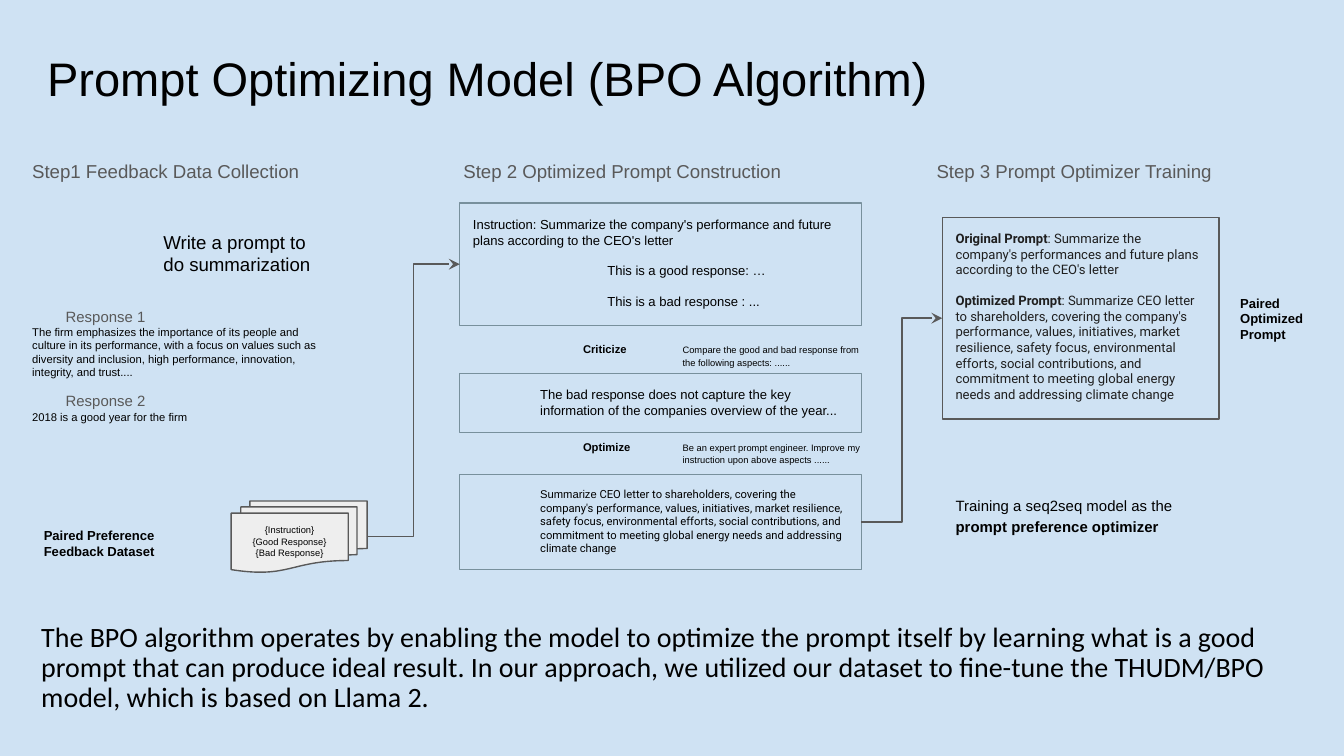
from lxml import etree
from pptx import Presentation, util as u
from pptx.dml.color import RGBColor
from pptx.enum import shapes, text
from pptx.oxml.ns import qn

COLORS = {"sky": "CFE2F3", "black": "000000", "grey": "595959",
          "ink": "1F1F1F", "steel": "78909C", "paper": "EEEEEE"}
INSET = 0.25
INDENT = 1.27

# A paragraph is (runs, paragraph options); a run is (text, font options).
TITLE = [([("Prompt Optimizing Model (BPO Algorithm)", {})], {})]
SUMMARY = [([("The BPO algorithm operates by enabling the model to optimize the prompt itself by "
              "learning what is a good prompt that can produce ideal result. In our approach, we "
              "utilized our dataset to fine-tune the THUDM/BPO model, which is based on Llama 2.",
              {})], {"line": 0.9})]

# heading, left, width
STEPS = [("Step1 Feedback Data Collection", 0.36, 7.19),
         ("Step 2 Optimized Prompt Construction", 8.51, 8.05),
         ("Step 3 Prompt Optimizer Training", 17.45, 7.59)]
STEP_TOP, STEP_HEIGHT = 2.77, 8.23

HEADING = {"size": 8, "color": "grey"}
RESPONSES = [
    ([("Response 1", HEADING)], {"indent": 0.63}),
    ([("The firm emphasizes the importance of its people and culture in its performance, with a "
       "focus on values such as diversity and inclusion, high performance, innovation, "
       "integrity, and trust....", {})], {}),
    ([("Response 2", HEADING)], {"indent": 0.63, "before": 7}),
    ([("2018 is a good year for the firm", {})], {}),
]
DATASET = [([(line, {})], {"align": text.PP_ALIGN.CENTER})
           for line in ("{Instruction}", "{Good Response}", "{Bad Response}")]

INSTRUCTION = [
    ([("Instruction: Summarize the company's performance and future plans according to the "
       "CEO's letter", {})], {}),
    ([("This is a good response: …", {})], {"indent": 2 * INDENT, "before": 8}),
    ([("This is a bad response : ...", {})], {"indent": 2 * INDENT, "before": 8}),
]
CRITIQUE = [([("The bad response does not capture the key information of the companies overview "
               "of the year...", {})], {"indent": INDENT})]
NEW_PROMPT = [([
    ("Summarize", {}),
    (" CEO letter to shareholders, covering the company's performance, values, initiatives, "
     "market resilience, safety focus, environmental efforts, social contributions, and "
     "commitment to meeting global energy needs and addressing climate change",
     {"font": "Roboto"})], {"indent": INDENT})]

# action, its prompt, top of both labels
ACTIONS = [
    ("Criticize", "Compare the good and bad response from the following aspects: ......", 6.23),
    ("Optimize", "Be an expert prompt engineer. Improve my instruction upon above aspects ......",
     8.07),
]

PROMPT_PAIR = [
    ([("Original Prompt", {"bold": True}),
      (": Summarize the company's performances and future plans according to the CEO's letter",
       {})], {}),
    ([("Optimized Prompt", {"bold": True}),
      (": Summarize CEO letter to shareholders, covering the company's performance, values, "
       "initiatives, market resilience, safety focus, environmental efforts, social "
       "contributions, and commitment to meeting global energy needs and addressing climate "
       "change", {})], {"before": 8}),
]
TRAINING = [([("Training a seq2seq model as the ", {}),
              ("prompt preference optimizer", {"bold": True})], {"line": 1.15})]


def rgb(name):
    return RGBColor.from_string(COLORS[name])


def plain(*lines, **options):
    return [([(line, {})], options) for line in lines]


def write(shape, paragraphs, anchor=text.MSO_ANCHOR.TOP, **base):
    """Fill a shape with paragraphs; base holds the font options runs fall back on."""
    frame = shape.text_frame
    frame.word_wrap = True
    frame.auto_size = text.MSO_AUTO_SIZE.NONE
    frame.vertical_anchor = anchor
    frame.margin_left = frame.margin_right = u.Cm(INSET)
    frame.margin_top = frame.margin_bottom = u.Cm(INSET)
    for number, (runs, options) in enumerate(paragraphs):
        paragraph = frame.add_paragraph() if number else frame.paragraphs[0]
        paragraph.alignment = options.get("align", text.PP_ALIGN.LEFT)
        paragraph.line_spacing = options.get("line", 1.0)
        paragraph.space_before = u.Pt(options.get("before", 0))
        if "indent" in options:
            properties = paragraph._p.get_or_add_pPr()
            properties.set("marL", str(u.Cm(options["indent"])))
            properties.set("indent", "0")
        for words, changes in runs:
            style = {"font": "Arial", "color": "black", "bold": False, **base, **changes}
            run = paragraph.add_run()
            run.text = words
            run.font.name = style["font"]
            run.font.size = u.Pt(style["size"])
            run.font.bold = style["bold"]
            run.font.color.rgb = rgb(style["color"])


def place(shape, box):
    shape.left, shape.top, shape.width, shape.height = (u.Cm(length) for length in box)


def add_label(box, paragraphs, **base):
    label = slide.shapes.add_textbox(*(u.Cm(length) for length in box))
    write(label, paragraphs, **base)


def add_box(box, paragraphs, fill=None, line=None, preset=shapes.MSO_SHAPE.RECTANGLE, **base):
    shape = slide.shapes.add_shape(preset, *(u.Cm(length) for length in box))
    shape.shadow.inherit = False
    if fill:
        shape.fill.solid()
        shape.fill.fore_color.rgb = rgb(fill)
    else:
        shape.fill.background()
    if line:
        shape.line.color.rgb = rgb(line)
        shape.line.width = u.Pt(0.75)
    else:
        shape.line.fill.background()
    write(shape, paragraphs, **base)
    return shape


def add_arrow(source, target):
    """Lead an elbow arrow from the right side of source to the left side of target."""
    arrow = slide.shapes.add_connector(shapes.MSO_CONNECTOR.ELBOW, 0, 0, 0, 0)
    arrow.begin_connect(source, 3)
    arrow.end_connect(target, 1)
    arrow.line.color.rgb = rgb("grey")
    arrow.line.width = u.Pt(0.75)
    etree.SubElement(arrow.line._get_or_add_ln(), qn("a:tailEnd"), type="stealth")
    etree.SubElement(arrow._element.spPr, qn("a:effectLst"))


deck = Presentation()
deck.slide_width, deck.slide_height = u.Cm(25.4), u.Cm(14.29)
slide = deck.slides.add_slide(deck.slide_layouts[5])
slide.background.fill.solid()
slide.background.fill.fore_color.rgb = rgb("sky")

place(slide.shapes.title, (0.64, 0.69, 23.67, 1.6))
write(slide.shapes.title, TITLE, size=25.2)
add_label((0.53, 11.53, 23.67, 2.31), SUMMARY, size=15, font="Calibri")

for heading, left, width in STEPS:
    add_box((left, STEP_TOP, width, STEP_HEIGHT), plain(heading), fill="sky",
            size=10, color="grey")

# Step 1
add_label((2.84, 4.11, 3.4, 1.22), plain("Write a prompt to do summarization"), size=10)
add_label((0.36, 5.56, 6.2, 2.74), RESPONSES, size=6)
add_label((0.58, 9.73, 4.9, 0.84), plain("Paired Preference", "Feedback Dataset"),
          size=7, bold=True)
dataset = add_box((4.37, 9.47, 2.57, 1.35), DATASET, fill="paper", line="grey",
                  preset=shapes.MSO_SHAPE.FLOWCHART_MULTIDOCUMENT,
                  anchor=text.MSO_ANCHOR.MIDDLE, size=5)

# Step 2
instruction, critique, new_prompt = (
    add_box((8.69, top, 7.59, height), paragraphs, line="steel", size=size)
    for paragraphs, top, height, size in [(INSTRUCTION, 3.84, 2.31, 7),
                                          (CRITIQUE, 7.06, 1.12, 7),
                                          (NEW_PROMPT, 8.97, 1.8, 6)])
for action, request, top in ACTIONS:
    add_label((10.77, top, 1.63, 0.76), plain(action), size=6, bold=True)
    add_label((12.65, top, 4.14, 0.97), plain(request, line=1.15), size=5)

# Step 3
prompt_pair = add_box((17.81, 4.11, 5.23, 3.81), PROMPT_PAIR, line="grey",
                      size=7, font="Roboto", color="ink")
add_label((23.19, 5.33, 1.75, 2.26), plain("Paired Optimized Prompt"), size=7, bold=True)
add_label((17.81, 9.09, 5.23, 0.99), TRAINING, size=8)

add_arrow(dataset, instruction)
add_arrow(new_prompt, prompt_pair)

deck.save("out.pptx")
